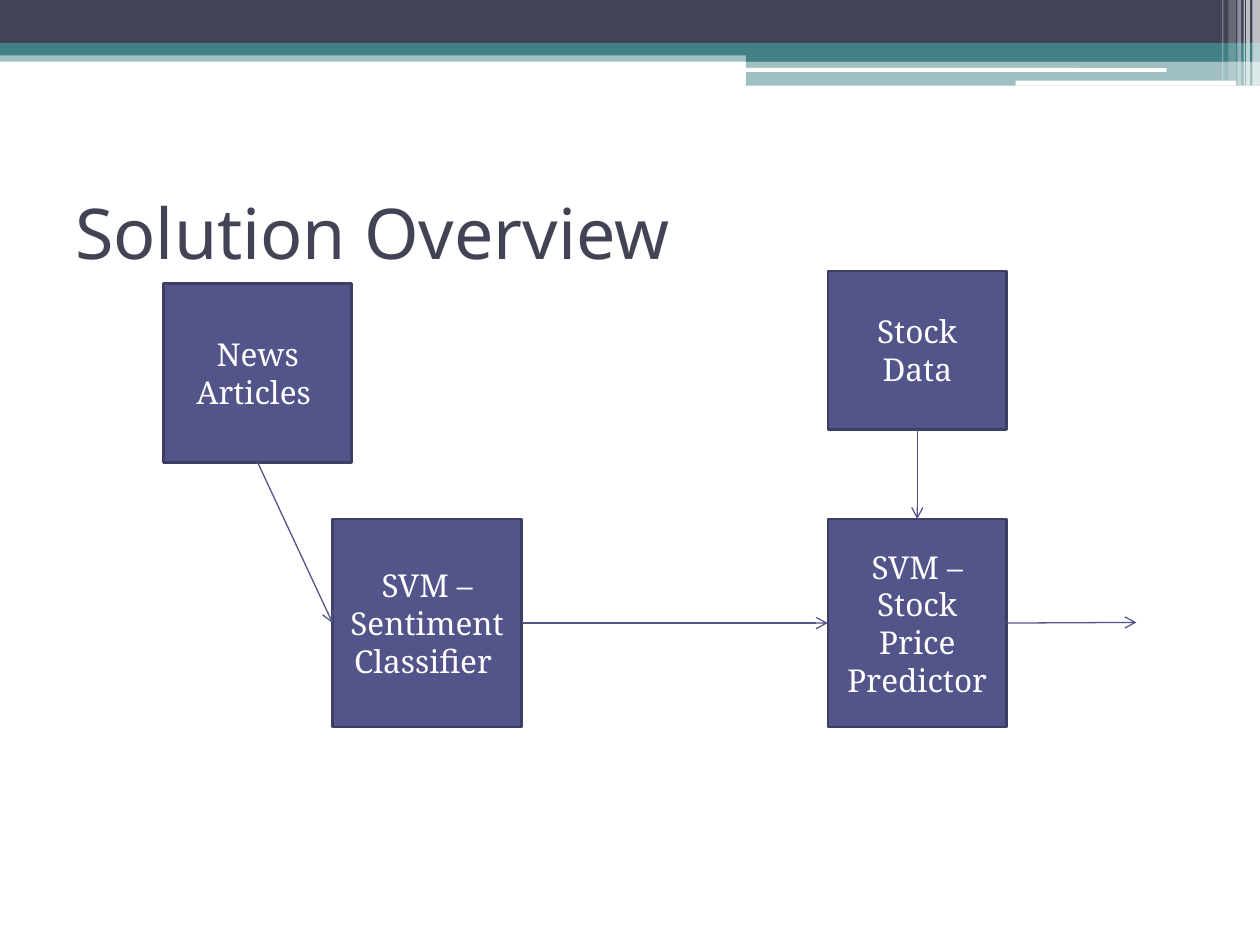
from lxml import etree
from pptx import Presentation
from pptx.dml.color import RGBColor
from pptx.enum.shapes import MSO_CONNECTOR, MSO_SHAPE
from pptx.enum.text import MSO_ANCHOR, PP_ALIGN
from pptx.oxml.ns import qn
from pptx.util import Inches, Pt

RECTANGLE = MSO_SHAPE.RECTANGLE
ROUNDED = MSO_SHAPE.ROUNDED_RECTANGLE
STRAIGHT = MSO_CONNECTOR.STRAIGHT
MIDDLE = MSO_ANCHOR.MIDDLE
LEFT, CENTER = PP_ALIGN.LEFT, PP_ALIGN.CENTER
SITE_TOP, SITE_LEFT, SITE_BOTTOM, SITE_RIGHT = range(4)

COLORS = {
    "slate": "424456",
    "teal": "438086",
    "white": "FFFFFF",
    "indigo": "53548A",
    "outline": "3D3E66",
}
TITLE_FORMAT = {"name": "Noto Sans", "size": Pt(40)}
BOX_FORMAT = {"name": "Noto Serif", "size": Pt(18)}


def rgb(name):
    """Return the named palette colour."""
    return RGBColor.from_string(COLORS[name])


class SlideBuilder:
    """Holds the current slide and draws its elements in one style."""

    def __init__(self, slide):
        """Keep the slide to draw on."""
        self.slide = slide

    def set_text(self, shape, text, font_format, color, alignment):
        """Put formatted, vertically centred text in a shape."""
        frame = shape.text_frame
        frame.word_wrap = True
        frame.vertical_anchor = MIDDLE
        paragraph = frame.paragraphs[0]
        paragraph.alignment = alignment
        run = paragraph.add_run()
        run.text = text
        for attribute, value in font_format.items():
            setattr(run.font, attribute, value)
        run.font.color.rgb = rgb(color)

    def block(self, position, color, opacity=100, kind=RECTANGLE):
        """Draw a filled shape without outline."""
        shape = self.slide.shapes.add_shape(kind, *map(Inches, position))
        shape.shadow.inherit = False
        shape.fill.solid()
        shape.fill.fore_color.rgb = rgb(color)
        shape.line.fill.background()
        if opacity < 100:
            color_element = shape._element.spPr.find(".//" + qn("a:srgbClr"))
            alpha = etree.SubElement(color_element, qn("a:alpha"))
            alpha.set("val", str(opacity * 1000))
        return shape

    def title(self, position, text):
        """Draw the slide title."""
        shape = self.slide.shapes.add_textbox(*map(Inches, position))
        self.set_text(shape, text, TITLE_FORMAT, "slate", LEFT)

    def box(self, position, text):
        """Draw an outlined box of the flow diagram."""
        shape = self.block(position, "indigo")
        shape.line.color.rgb = rgb("outline")
        shape.line.width = Pt(1.5)
        self.set_text(shape, text, BOX_FORMAT, "white", CENTER)
        return shape

    def arrow(self, source, source_site, target=None, target_site=None, end=(0, 0)):
        """Draw an arrow from a box to another box or to a free end point."""
        connector = self.slide.shapes.add_connector(
            STRAIGHT, 0, 0, *map(Inches, end))
        connector.begin_connect(source, source_site)
        if target is not None:
            connector.end_connect(target, target_site)
        connector.line.color.rgb = rgb("indigo")
        connector.line.width = Pt(0.75)
        properties = connector._element.spPr
        etree.SubElement(properties.find(qn("a:ln")), qn("a:tailEnd")).set("type", "arrow")
        etree.SubElement(properties, qn("a:effectLst"))


def draw_header(builder):
    """Draw the bands and stripes at the top of the slide."""
    bands = [
        ((0, 0.4, 10, 0.09), "teal", 50, RECTANGLE),
        ((0, 0, 10, 0.34), "slate", 100, RECTANGLE),
        ((0, 0.34, 10, 0.1), "teal", 100, RECTANGLE),
        ((5.92, 0.39, 4.08, 0.1), "teal", 100, RECTANGLE),
        ((5.92, 0.48, 4.08, 0.2), "teal", 50, RECTANGLE),
        ((5.91, 0.54, 3.35, 0.03), "white", 100, ROUNDED),
        ((8.06, 0.64, 1.75, 0.04), "white", 100, ROUNDED),
    ]
    for band in bands:
        builder.block(*band)
    stripes = [
        (9.94, 0.06, 0.68, 65),
        (9.89, 0.03, 0.68, 65),
        (9.87, 0.01, 0.68, 60),
        (9.82, 0.03, 0.68, 40),
        (9.75, 0.06, 0.64, 20),
        (9.7, 0.01, 0.64, 30),
    ]
    for left, width, height, opacity in stripes:
        builder.block((left, 0, width, height), "white", opacity)


def draw_flow(builder):
    """Draw the boxes of the solution and the arrows between them."""
    news = builder.box((1.3, 2.25, 1.49, 1.42), "News Articles ")
    stock = builder.box((6.57, 2.15, 1.42, 1.26), "Stock Data")
    classifier = builder.box((2.64, 4.12, 1.5, 1.65), "SVM – Sentiment Classifier ")
    predictor = builder.box((6.57, 4.12, 1.42, 1.65), "SVM –Stock Price Predictor")
    builder.arrow(classifier, SITE_RIGHT, predictor, SITE_LEFT)
    builder.arrow(news, SITE_BOTTOM, classifier, SITE_LEFT)
    builder.arrow(stock, SITE_BOTTOM, predictor, SITE_TOP)
    builder.arrow(predictor, SITE_RIGHT, end=(9.02, 4.94))


def main():
    """Build and save the presentation."""
    presentation = Presentation()
    presentation.slide_width = Inches(10)
    presentation.slide_height = Inches(7.5)
    slide = presentation.slides.add_slide(presentation.slide_layouts[6])
    builder = SlideBuilder(slide)
    draw_header(builder)
    builder.title((0.5, 1.25, 9, 1.17), "Solution Overview ")
    draw_flow(builder)
    presentation.save("out.pptx")


main()
